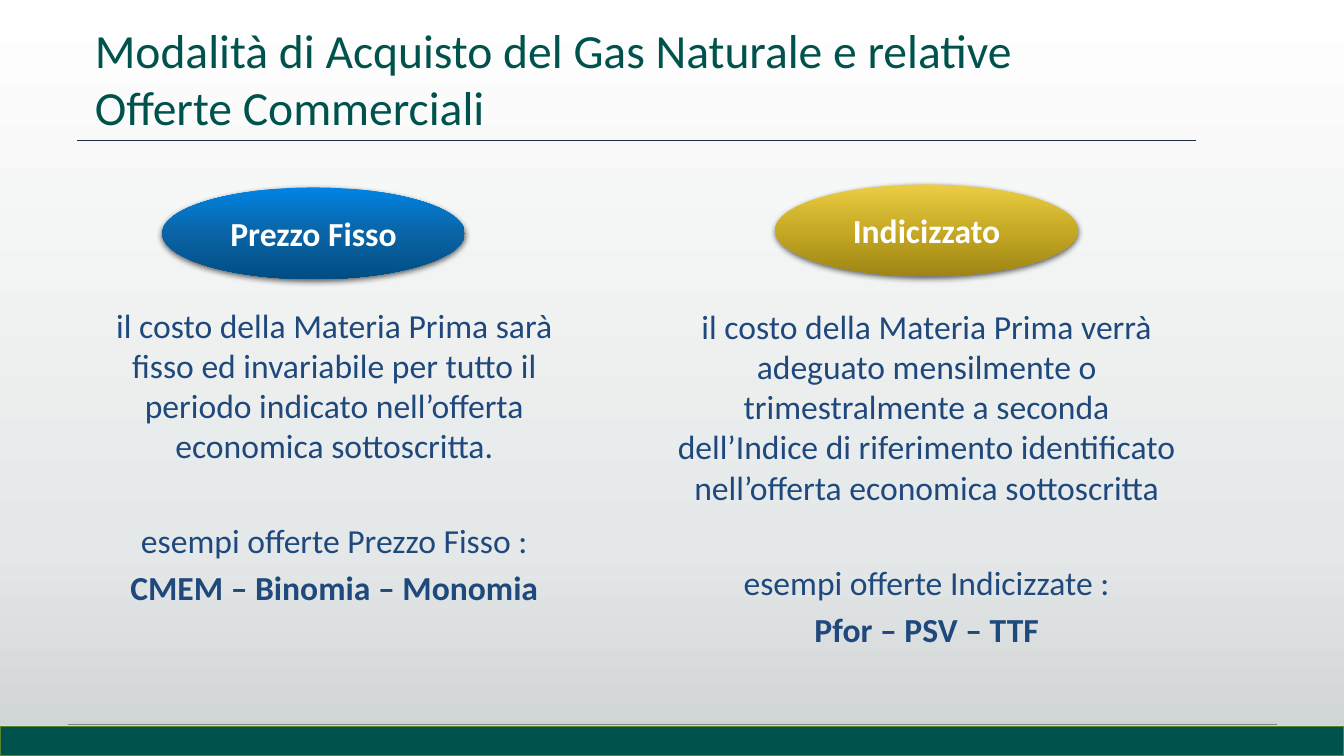
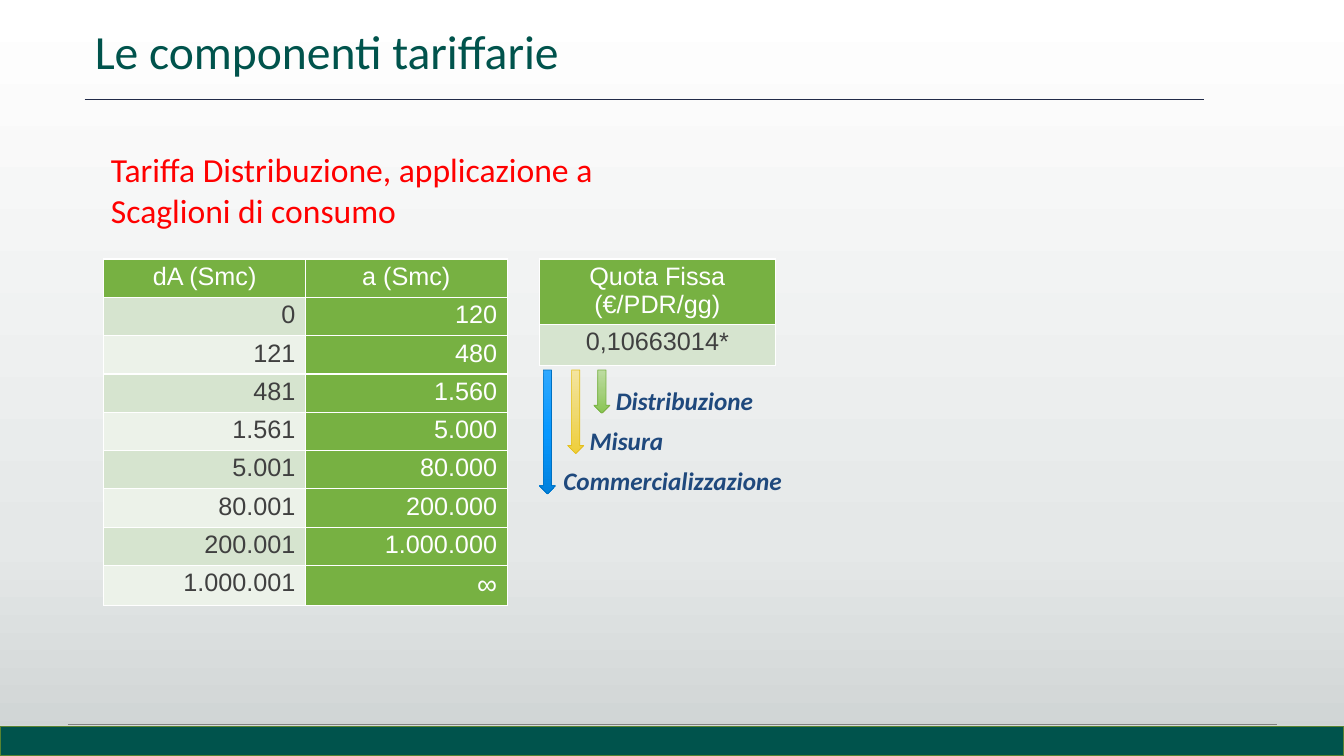
"""Build two slides on natural gas purchase offers and tariff components."""
from copy import deepcopy
from dataclasses import dataclass

from lxml.etree import SubElement
from pptx import Presentation
from pptx.dml.color import RGBColor
from pptx.enum.shapes import MSO_CONNECTOR, MSO_SHAPE
from pptx.enum.text import MSO_ANCHOR, MSO_AUTO_SIZE, PP_ALIGN
from pptx.oxml import parse_xml
from pptx.oxml.ns import nsdecls, qn
from pptx.util import Inches, Pt

WHITE = RGBColor(0xFF, 0xFF, 0xFF)
DARK_GREEN = RGBColor(0x00, 0x53, 0x4C)
BAND_EDGE = RGBColor(0x58, 0x83, 0x31)
TABLE_GREEN = RGBColor(0x77, 0xB1, 0x42)
ROW_DARK = RGBColor(0xD6, 0xE4, 0xCF)
ROW_LIGHT = RGBColor(0xEC, 0xF2, 0xE9)
CELL_TEXT = RGBColor(0x40, 0x40, 0x40)
RULE_NAVY = RGBColor(0x22, 0x2B, 0x48)
RULE_GREY = RGBColor(0x80, 0x80, 0x80)
TEXT_BLUE = RGBColor(0x1F, 0x49, 0x7D)
RED = RGBColor(0xFF, 0x00, 0x00)
MISURA_EDGE = RGBColor(0xE3, 0xC0, 0x1E)
COMMERCIAL_EDGE = RGBColor(0x00, 0x70, 0xC0)


def ramp(*stops: tuple[int, str]) -> list[tuple[float, RGBColor]]:
    """Turn percentages and hex colours into gradient stops."""
    return [(percent / 100, RGBColor.from_string(colour)) for percent, colour in stops]


BACKDROP = ramp((0, "FFFFFF"), (72, "E5E8E8"), (100, "CDD2D2"))
OVAL_BLUE = ramp((0, "0084E3"), (50, "0A64A5"), (100, "004D84"))
OVAL_GOLD = ramp((0, "EBCD45"), (50, "C6A924"), (100, "9E8514"))
ARROW_GREEN = ramp((0, "BDDCA1"), (50, "A5D07D"), (100, "89C552"))
ARROW_GOLD = ramp((0, "F4E5A0"), (50, "EFD971"), (100, "EFCE39"))
ARROW_BLUE = ramp((0, "2EA8FF"), (50, "0898FF"), (100, "0081DD"))


@dataclass(frozen=True)
class Box:
    """Position and size in inches."""
    left: float
    top: float
    width: float
    height: float

    def lengths(self) -> tuple:
        """Return the four values as lengths."""
        return tuple(Inches(v) for v in (self.left, self.top, self.width, self.height))


@dataclass(frozen=True)
class Offer:
    """One way of buying gas, with its description and examples."""
    name: str
    description: str
    examples_intro: str
    examples: str
    oval: Box
    body: Box
    gradient: list


@dataclass(frozen=True)
class Component:
    """One tariff component marked by an arrow."""
    label: str
    arrow_left: float
    label_left: float
    gradient: list
    edge: RGBColor


OFFERS = [
    Offer("Prezzo Fisso",
          "il costo della Materia Prima sarà fisso ed invariabile per tutto il periodo "
          "indicato nell’offerta economica sottoscritta.",
          "esempi offerte Prezzo Fisso :", "CMEM – Binomia – Monomia",
          Box(1.61, 1.86, 3, 0.91), Box(0.99, 2.97, 4.65, 3.37), OVAL_BLUE),
    Offer("Indicizzato",
          "il costo della Materia Prima verrà adeguato mensilmente o trimestralmente a "
          "seconda dell’Indice di riferimento identificato nell’offerta economica sottoscritta",
          "esempi offerte Indicizzate :", "Pfor – PSV – TTF",
          Box(7.69, 1.83, 3, 0.91), Box(6.59, 2.98, 5.2, 4), OVAL_GOLD),
]
COMPONENTS = [
    Component("Distribuzione", 5.89, 6.01, ARROW_GREEN, TABLE_GREEN),
    Component("Misura", 5.63, 5.75, ARROW_GOLD, MISURA_EDGE),
    Component("Commercializzazione", 5.35, 5.49, ARROW_BLUE, COMMERCIAL_EDGE),
]
BRACKETS = [
    ("dA (Smc)", "a (Smc)"), ("0", "120"), ("121", "480"), ("481", "1.560"),
    ("1.561", "5.000"), ("5.001", "80.000"), ("80.001", "200.000"),
    ("200.001", "1.000.000"), ("1.000.001", "∞"),
]
FIXED_QUOTA = [("Quota Fissa (€/PDR/gg)",), ("0,10663014*",)]


def write(frame, text: str, *, size: float, color: RGBColor, font: str = "Calibri",
          bold: bool = False, italic: bool = False, align=PP_ALIGN.LEFT, before: float = 0,
          spacing: float = 1.0, append: bool = False) -> None:
    """Write one formatted paragraph without a bullet."""
    paragraph = frame.add_paragraph() if append else frame.paragraphs[0]
    paragraph.alignment = align
    paragraph.space_before = Pt(before)
    paragraph.line_spacing = spacing
    properties = paragraph._p.get_or_add_pPr()
    properties.set("marL", "0")
    properties.set("indent", "0")
    SubElement(properties, qn("a:buNone"))
    run = paragraph.add_run()
    run.text = text
    run.font.name, run.font.size = font, Pt(size)
    run.font.bold, run.font.italic = bold, italic
    run.font.color.rgb = color


def fill_gradient(fill, owner, stops: list) -> None:
    """Apply a three-stop gradient running from top to bottom."""
    fill.gradient()
    fill.gradient_angle = 270
    stop_list = owner.xpath(".//a:gsLst")[0]
    stop_list.append(deepcopy(stop_list[0]))
    for stop, (position, color) in zip(fill.gradient_stops, stops):
        stop.color.rgb = color
        stop.position = position


def place(shape, box: Box, anchor=MSO_ANCHOR.TOP):
    """Position a text shape and return its frame."""
    shape.left, shape.top, shape.width, shape.height = box.lengths()
    frame = shape.text_frame
    frame.word_wrap = True
    frame.auto_size = MSO_AUTO_SIZE.NONE
    frame.vertical_anchor = anchor
    return frame


def add_preset(slide, preset, box: Box, *, color: RGBColor | None = None,
               gradient: list | None = None, edge: RGBColor | None = None,
               edge_width: float = 1):
    """Add a preset shape with a solid or gradient fill."""
    shape = slide.shapes.add_shape(preset, *box.lengths())
    shape.shadow.inherit = False
    if gradient:
        fill_gradient(shape.fill, shape.element, gradient)
    else:
        shape.fill.solid()
        shape.fill.fore_color.rgb = color
    if edge is None:
        shape.line.fill.background()
    else:
        shape.line.color.rgb = edge
        shape.line.width = Pt(edge_width)
    return shape


def add_rule(slide, left: float, right: float, y: float, color: RGBColor) -> None:
    """Draw a thin horizontal line."""
    rule = slide.shapes.add_connector(MSO_CONNECTOR.STRAIGHT, Inches(left), Inches(y),
                                      Inches(right), Inches(y))
    rule.line.color.rgb = color
    rule.line.width = Pt(0.5)
    SubElement(rule.element.spPr, qn("a:effectLst"))


def add_framed_slide(deck, layout: int, title: str, title_box: Box, spacing: float,
                     rule_left: float, rule_y: float):
    """Add a slide with the shared title, rule and footer band."""
    slide = deck.slides.add_slide(deck.slide_layouts[layout])
    add_rule(slide, 0.67, 12.67, 7.19, RULE_GREY)
    add_preset(slide, MSO_SHAPE.RECTANGLE, Box(0, 7.2, 13.33, 0.05), color=WHITE)
    add_preset(slide, MSO_SHAPE.RECTANGLE, Box(0, 7.21, 13.33, 0.29),
               color=DARK_GREEN, edge=BAND_EDGE)
    write(place(slide.shapes.title, title_box, MSO_ANCHOR.BOTTOM), title,
          size=34, color=DARK_GREEN, spacing=spacing)
    add_rule(slide, rule_left, rule_left + 11.1, rule_y, RULE_NAVY)
    return slide


def add_offer(slide, offer: Offer, body) -> None:
    """Draw an offer's oval and fill its description."""
    oval = add_preset(slide, MSO_SHAPE.OVAL, offer.oval, gradient=offer.gradient)
    oval.element.spPr.find(qn("a:effectLst")).append(parse_xml(
        f'<a:outerShdw {nsdecls("a")} blurRad="{Pt(4.5)}" dist="{Pt(1.5)}" dir="5400000" '
        'rotWithShape="0"><a:srgbClr val="000000"><a:alpha val="63000"/></a:srgbClr>'
        '</a:outerShdw>'))
    write(place(oval, offer.oval, MSO_ANCHOR.MIDDLE), offer.name, size=24, color=WHITE,
          bold=True, align=PP_ALIGN.CENTER)
    frame = place(body, offer.body)
    style = dict(size=24, color=TEXT_BLUE, align=PP_ALIGN.CENTER)
    write(frame, offer.description, **style)
    write(frame, offer.examples_intro, before=39, append=True, **style)
    write(frame, offer.examples, before=4.8, bold=True, append=True, **style)


def add_border(cell) -> None:
    """Give a cell thin white borders."""
    properties = cell._tc.get_or_add_tcPr()
    for index, side in enumerate(("lnL", "lnR", "lnT", "lnB")):
        properties.insert(index, parse_xml(
            f'<a:{side} {nsdecls("a")} w="{Pt(1)}"><a:solidFill>'
            f'<a:srgbClr val="{WHITE}"/></a:solidFill></a:{side}>'))


def add_tariff_table(slide, box: Box, rows: list, heights: list[float], value_align) -> None:
    """Add a table with a green header and a green last column after the first."""
    columns = len(rows[0])
    table = slide.shapes.add_table(len(rows), columns, *box.lengths()).table
    table.first_row = table.horz_banding = False
    for column in table.columns:
        column.width = Inches(box.width / columns)
    for r, (values, height) in enumerate(zip(rows, heights)):
        table.rows[r].height = Inches(height)
        for c, value in enumerate(values):
            cell = table.cell(r, c)
            strong = r == 0 or c > 0
            cell.fill.solid()
            cell.fill.fore_color.rgb = (TABLE_GREEN if strong
                                        else ROW_DARK if r % 2 else ROW_LIGHT)
            cell.margin_top = cell.margin_bottom = Inches(0.035)
            write(cell.text_frame, value, size=20 if value == "∞" else 18, font="Arial",
                  color=WHITE if strong else CELL_TEXT,
                  align=value_align if r else PP_ALIGN.CENTER)
            add_border(cell)


def add_component(slide, component: Component, index: int) -> None:
    """Draw a component's arrow and label, each step lower than the last."""
    drop = 0.4 * index
    add_preset(slide, MSO_SHAPE.DOWN_ARROW,
               Box(component.arrow_left, 3.67, 0.16, 0.43 + drop),
               gradient=component.gradient, edge=component.edge, edge_width=0.5)
    box = Box(component.label_left, 3.77 + drop, 2.44, 0.33)
    label = slide.shapes.add_textbox(*box.lengths())
    write(place(label, box), component.label, size=18, color=TEXT_BLUE, bold=True, italic=True)


def build_offers(deck) -> None:
    """Build the slide that compares the offers."""
    slide = add_framed_slide(
        deck, 3, "Modalità di Acquisto del Gas Naturale e relative Offerte Commerciali",
        Box(0.84, 0.21, 10.4, 1.18), 1.0, 0.76, 1.39)
    for index, offer in enumerate(OFFERS, start=1):
        add_offer(slide, offer, slide.placeholders[index])


def build_tariffs(deck) -> None:
    """Build the slide on the tariff components."""
    slide = add_framed_slide(deck, 1, "Le componenti tariffarie",
                             Box(0.84, 0.13, 10.4, 0.71), 0.9, 0.84, 0.99)
    write(place(slide.placeholders[1], Box(1, 1.43, 5.12, 0.77)),
          "Tariffa Distribuzione, applicazione a Scaglioni di consumo", size=24, color=RED)
    add_tariff_table(slide, Box(1.03, 2.57, 4, 3.44), BRACKETS, [0.38] * 8 + [0.4],
                     PP_ALIGN.RIGHT)
    add_tariff_table(slide, Box(5.35, 2.57, 2.34, 1.06), FIXED_QUOTA, [0.65, 0.41],
                     PP_ALIGN.CENTER)
    for index, component in enumerate(COMPONENTS):
        add_component(slide, component, index)


def main() -> None:
    """Build and save the presentation."""
    deck = Presentation()
    deck.slide_width, deck.slide_height = Inches(13.33), Inches(7.5)
    master = deck.slide_master
    fill_gradient(master.background.fill, master.element, BACKDROP)
    build_offers(deck)
    build_tariffs(deck)
    deck.save("out.pptx")


if __name__ == "__main__":
    main()
